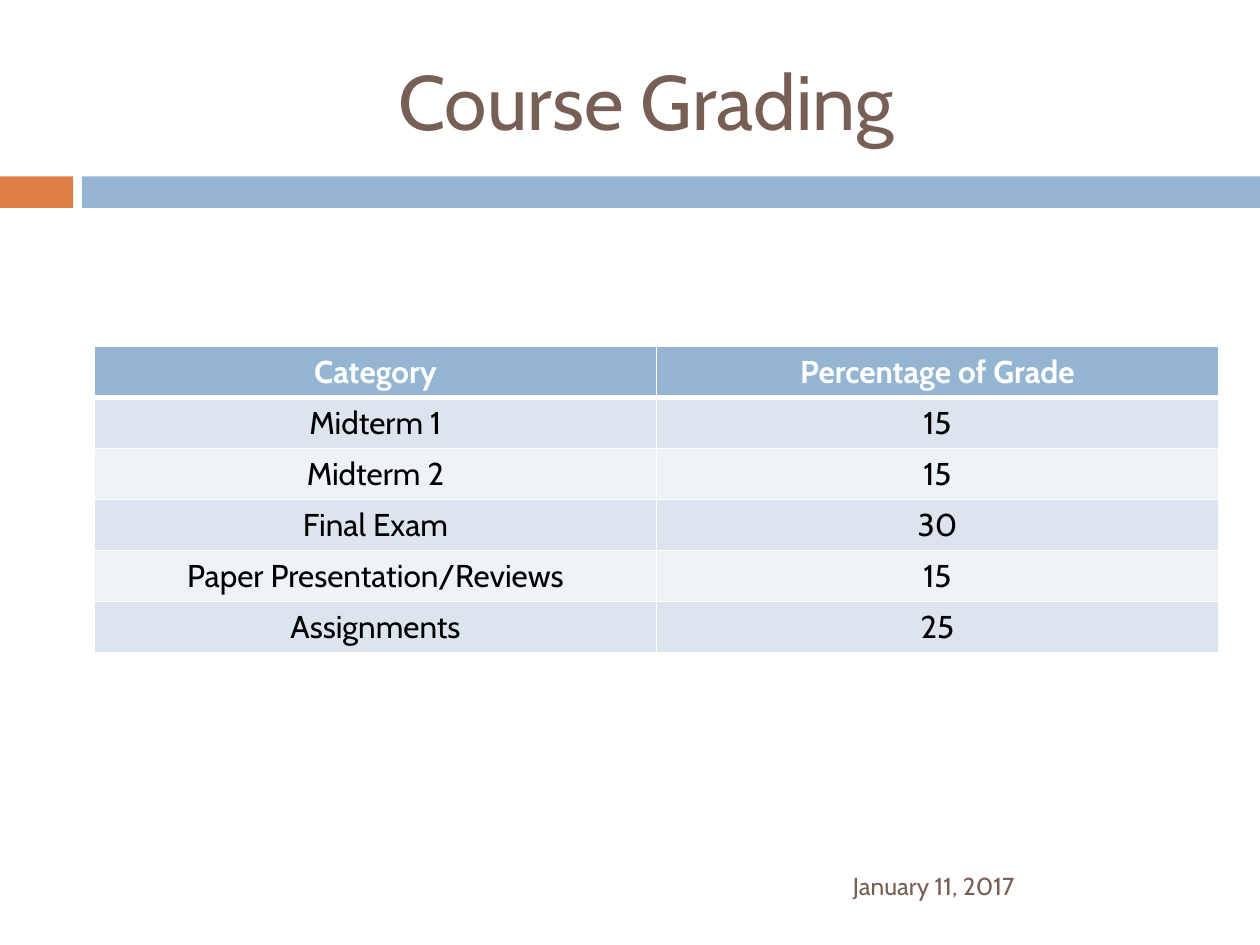
from dataclasses import dataclass

from lxml import etree
from pptx import Presentation
from pptx.dml.color import RGBColor
from pptx.enum.shapes import MSO_SHAPE
from pptx.enum.text import MSO_ANCHOR, PP_ALIGN
from pptx.oxml.ns import qn
from pptx.util import Inches, Pt

RECT = MSO_SHAPE.RECTANGLE
MIDDLE = MSO_ANCHOR.MIDDLE
LEFT = PP_ALIGN.LEFT
CENTER = PP_ALIGN.CENTER


@dataclass(frozen=True)
class Theme:
    font: str = "Cabin"
    brown: str = "775F55"
    orange: str = "DD8047"
    blue: str = "94B6D2"
    bands: tuple = ("DCE5EE", "EEF3F7")
    white: str = "FFFFFF"
    black: str = "000000"
    title: int = 44
    body: int = 18
    date: int = 14
    thin: int = 1
    thick: int = 3


THEME = Theme()

GRADES = [
    ("Category", "Percentage of Grade"),
    ("Midterm 1", "15"),
    ("Midterm 2", "15"),
    ("Final Exam", "30"),
    ("Paper Presentation/Reviews", "15"),
    ("Assignments", "25"),
]


def set_text(frame, text, size, color, align, bold=False):
    frame.text = text
    for para in frame.paragraphs:
        para.alignment = align
        for run in para.runs:
            font = run.font
            font.name = THEME.font
            font.size = Pt(size)
            font.bold = bold
            font.color.rgb = RGBColor.from_string(color)


def add_bar(slide, left, width, color):
    bar = slide.shapes.add_shape(
        RECT, Inches(left), Inches(1.4), Inches(width), Inches(0.25))
    bar.shadow.inherit = False
    bar.fill.solid()
    bar.fill.fore_color.rgb = RGBColor.from_string(color)
    bar.line.fill.background()


def add_label(slide, box, text, size, align):
    label = slide.shapes.add_textbox(*map(Inches, box))
    frame = label.text_frame
    frame.word_wrap = True
    frame.vertical_anchor = MIDDLE
    set_text(frame, text, size, THEME.brown, align)


def set_edge(cell, side, width):
    props = cell._tc.get_or_add_tcPr()
    edge = etree.SubElement(props, qn(f"a:ln{side}"), w=str(Pt(width)))
    fill = etree.SubElement(edge, qn("a:solidFill"))
    etree.SubElement(fill, qn("a:srgbClr"), val=THEME.white)


def style_cell(cell, text, row):
    head = row == 0
    edges = {
        "L": THEME.thin,
        "R": THEME.thin,
        "T": THEME.thick if row == 1 else THEME.thin,
        "B": THEME.thick if head else THEME.thin,
    }
    for side, width in edges.items():
        set_edge(cell, side, width)
    cell.fill.solid()
    color = THEME.blue if head else THEME.bands[(row - 1) % 2]
    cell.fill.fore_color.rgb = RGBColor.from_string(color)
    ink = THEME.white if head else THEME.black
    set_text(cell.text_frame, text, THEME.body, ink, CENTER, head)


def add_grid(slide, data, left, top, width, height):
    frame = slide.shapes.add_table(
        len(data), len(data[0]),
        Inches(left), Inches(top), Inches(width), Inches(height))
    table = frame.table
    for row, texts in enumerate(data):
        for col, text in enumerate(texts):
            style_cell(table.cell(row, col), text, row)


def main():
    deck = Presentation()
    deck.slide_width = Inches(10)
    deck.slide_height = Inches(7.5)
    slide = deck.slides.add_slide(deck.slide_layouts[6])
    add_bar(slide, 0, 0.58, THEME.orange)
    add_bar(slide, 0.65, 9.35, THEME.blue)
    add_label(slide, (0.67, 0.25, 8.92, 1.08), "Course Grading",
              THEME.title, CENTER)
    add_grid(slide, GRADES, 0.75, 2.75, 8.92, 2.43)
    add_label(slide, (6.67, 6.83, 2.92, 0.4), "January 11, 2017",
              THEME.date, LEFT)
    deck.save("out.pptx")


main()
